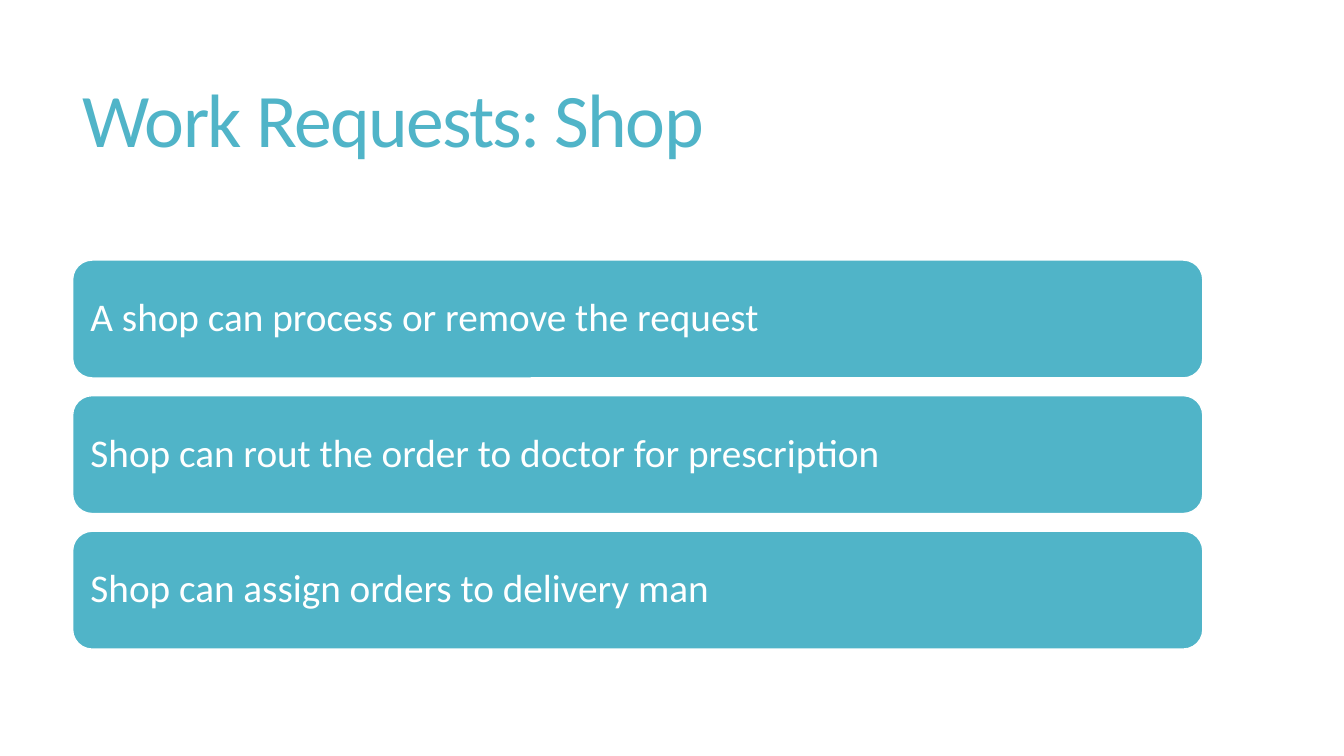
import pptx
import pptx.dml.color
import pptx.enum.shapes
import pptx.enum.text
import pptx.util
from dataclasses import dataclass

Inches = pptx.util.Inches
Pt = pptx.util.Pt


@dataclass(frozen=True)
class Theme:
    font: str = "Calibri"
    accent: str = "50B4C8"
    paper: str = "FFFFFF"
    title_size: int = 54
    bar_size: int = 28
    title_tracking: int = -120  # hundredths of a point


THEME = Theme()
SLIDE_WIDTH, SLIDE_HEIGHT = 13.33, 7.5
LEFT_MARGIN = 0.72
TITLE_TOP, TITLE_WIDTH, TITLE_HEIGHT = 0.55, 11.78, 1.36
BARS_TOP, BAR_WIDTH, BAR_HEIGHT, BAR_GAP = 2.58, 11.21, 1.17, 0.175
BAR_INSET = 0.12

TITLE = "Work Requests: Shop"
REQUESTS = [
    "A shop can process or remove the request",
    "Shop can rout the order to doctor for prescription",
    "Shop can assign orders to delivery man",
]


def color(value):
    return pptx.dml.color.RGBColor.from_string(value)


def write_text(shape, text, size, text_color, line_spacing):
    """Fill a shape with one left-aligned, vertically centred line and return its run."""
    frame = shape.text_frame
    frame.text = text
    frame.word_wrap = True
    frame.vertical_anchor = pptx.enum.text.MSO_ANCHOR.MIDDLE
    para = frame.paragraphs[0]
    para.alignment = pptx.enum.text.PP_ALIGN.LEFT
    para.line_spacing = line_spacing
    span = para.runs[0]
    span.font.name = THEME.font
    span.font.size = Pt(size)
    span.font.color.rgb = color(text_color)
    return span


def add_title(page, text):
    box = page.shapes.add_textbox(
        Inches(LEFT_MARGIN), Inches(TITLE_TOP), Inches(TITLE_WIDTH), Inches(TITLE_HEIGHT)
    )
    span = write_text(box, text, THEME.title_size, THEME.accent, 0.85)
    span.font._element.set("spc", str(THEME.title_tracking))


def add_request_bar(page, row, text):
    top = BARS_TOP + row * (BAR_HEIGHT + BAR_GAP)
    bar = page.shapes.add_shape(
        pptx.enum.shapes.MSO_SHAPE.ROUNDED_RECTANGLE,
        Inches(LEFT_MARGIN), Inches(top), Inches(BAR_WIDTH), Inches(BAR_HEIGHT),
    )
    bar.shadow.inherit = False
    bar.fill.solid()
    bar.fill.fore_color.rgb = color(THEME.accent)
    bar.line.color.rgb = color(THEME.paper)
    bar.line.width = Pt(1)
    frame = bar.text_frame
    frame.margin_left = frame.margin_right = Inches(BAR_INSET)
    frame.margin_top = frame.margin_bottom = Inches(BAR_INSET)
    write_text(bar, text, THEME.bar_size, THEME.paper, 0.9)


def main():
    deck = pptx.Presentation()
    deck.slide_width = Inches(SLIDE_WIDTH)
    deck.slide_height = Inches(SLIDE_HEIGHT)
    page = deck.slides.add_slide(deck.slide_layouts[6])
    page.background.fill.solid()
    page.background.fill.fore_color.rgb = color(THEME.paper)
    add_title(page, TITLE)
    for row, request in enumerate(REQUESTS):
        add_request_bar(page, row, request)
    deck.save("out.pptx")


if __name__ == "__main__":
    main()
